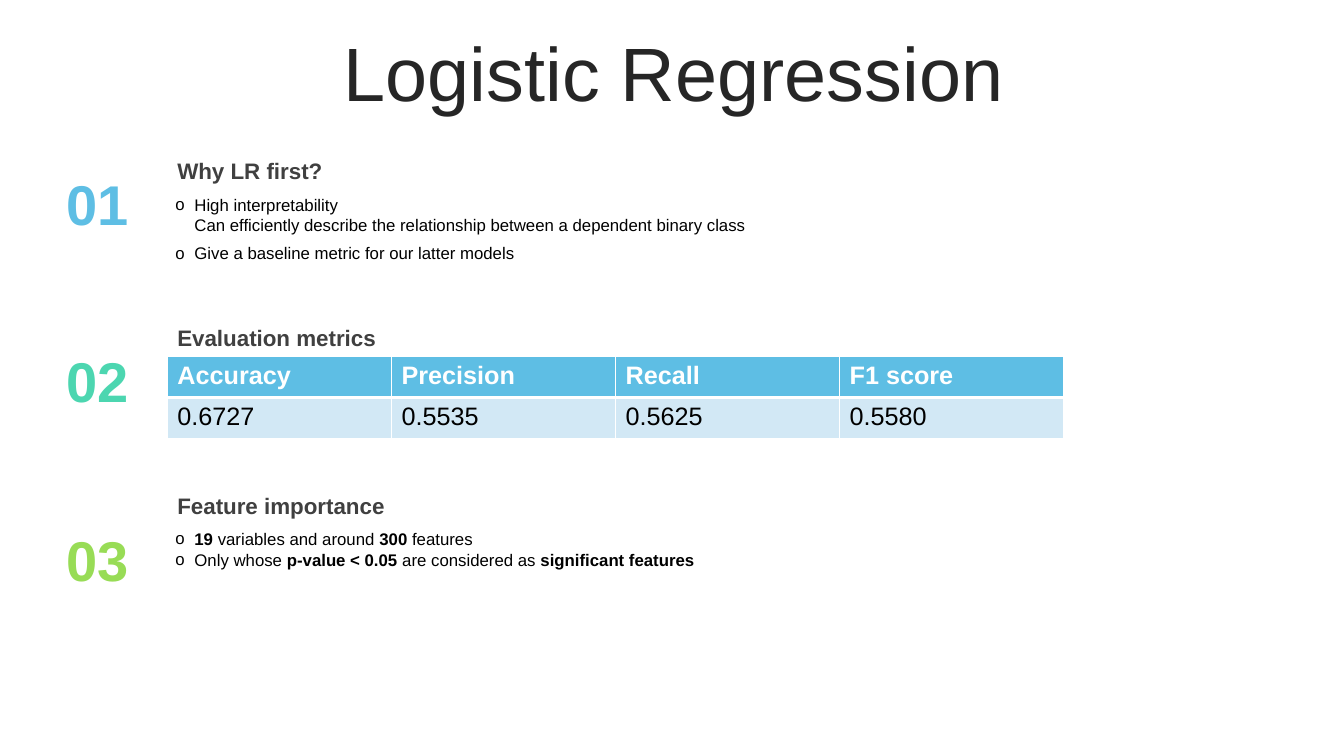
from lxml import etree
from pptx import Presentation
from pptx.dml.color import RGBColor
from pptx.enum.text import MSO_ANCHOR, MSO_AUTO_SIZE, PP_ALIGN
from pptx.oxml.ns import qn
from pptx.util import Inches, Pt

CENTER, LEFT = PP_ALIGN.CENTER, PP_ALIGN.LEFT
MIDDLE = MSO_ANCHOR.MIDDLE
NO_AUTOFIT = MSO_AUTO_SIZE.NONE

BLACK = RGBColor(0x00, 0x00, 0x00)
WHITE = RGBColor(0xFF, 0xFF, 0xFF)
TITLE_GREY = RGBColor(0x26, 0x26, 0x26)
HEADING_GREY = RGBColor(0x40, 0x40, 0x40)
BLUE = RGBColor(0x5E, 0xBE, 0xE4)
TEAL = RGBColor(0x4C, 0xD6, 0xB0)
GREEN = RGBColor(0x98, 0xDC, 0x56)
PALE_BLUE = RGBColor(0xD2, 0xE8, 0xF5)

BULLET_INDENT = Inches(0.19)

prs = Presentation()
prs.slide_width, prs.slide_height = Inches(13.33), Inches(7.5)
slide = prs.slides.add_slide(prs.slide_layouts[5])


def add_text(paragraph, text, size, color, bold=False):
    run = paragraph.add_run()
    run.text = text
    formats = {"name": "Arial", "size": Pt(size), "bold": bold}
    for attribute, value in formats.items():
        setattr(run.font, attribute, value)
    run.font.color.rgb = color


def add_box(left, top, width, height):
    box = slide.shapes.add_textbox(
        Inches(left), Inches(top), Inches(width), Inches(height))
    box.text_frame.word_wrap = True
    return box.text_frame


# Title
title = slide.shapes.title
title.left, title.top = Inches(0.35), Inches(0.37)
title.width, title.height = Inches(12.66), Inches(0.79)
title.text_frame.auto_size = NO_AUTOFIT
title.text_frame.vertical_anchor = MIDDLE
heading = title.text_frame.paragraphs[0]
heading.alignment = CENTER
heading.line_spacing = 0.9
add_text(heading, "Logistic Regression", 54, TITLE_GREY)

# Numbered section headings
sections = [
    ("01", BLUE, 1.63, "Why LR first?", 1.51),
    ("02", TEAL, 3.39, "Evaluation metrics", 3.17),
    ("03", GREEN, 5.16, "Feature importance", 4.83),
]
for number, color, number_top, name, name_top in sections:
    number_line = add_box(0.55, number_top, 0.83, 0.77).paragraphs[0]
    number_line.alignment = CENTER
    add_text(number_line, number, 40, color, bold=True)
    name_line = add_box(1.66, name_top, 5.81, 0.37).paragraphs[0]
    add_text(name_line, name, 16, HEADING_GREY, bold=True)

# Section notes: each line is (bulleted, space before, [(text, bold), ...])
notes = [
    (1.88, 0.79, [
        (True, 0, [("High interpretability", False)]),
        (False, 0, [("Can efficiently describe the relationship between "
                     "a dependent binary class", False)]),
        (True, 6, [("Give a baseline metric for our latter models", False)]),
    ]),
    (5.2, 0.5, [
        (True, 0, [("19", True), (" variables and around ", False),
                   ("300", True), (" features", False)]),
        (True, 0, [("Only whose ", False), ("p-value < 0.05 ", True),
                   ("are considered as ", False),
                   ("significant features", True)]),
    ]),
]
for top, height, lines in notes:
    frame = add_box(1.64, top, 5.86, height)
    for index, (bulleted, space_before, pieces) in enumerate(lines):
        line = frame.add_paragraph() if index else frame.paragraphs[0]
        line.alignment = LEFT
        if space_before:
            line.space_before = Pt(space_before)
        properties = line._p.get_or_add_pPr()
        properties.set("marL", str(BULLET_INDENT))
        if bulleted:
            properties.set("indent", str(-BULLET_INDENT))
            etree.SubElement(properties, qn("a:buFont"), typeface="Arial")
            etree.SubElement(properties, qn("a:buChar"), char="o")
        for text, bold in pieces:
            add_text(line, text, 12, BLACK, bold)

# Metrics table
metrics = [
    ("Accuracy", "Precision", "Recall", "F1 score"),
    ("0.6727", "0.5535", "0.5625", "0.5580"),
]
row_formats = [(BLUE, WHITE, True), (PALE_BLUE, BLACK, False)]
metrics_table = slide.shapes.add_table(
    2, 4, Inches(1.66), Inches(3.54), Inches(8.89), Inches(0.81)).table
for row, (values, (fill, color, bold)) in enumerate(zip(metrics, row_formats)):
    for column, value in enumerate(values):
        cell = metrics_table.cell(row, column)
        add_text(cell.text_frame.paragraphs[0], value, 18, color, bold)
        # The rule between header and values is thicker
        borders = {"L": 1, "R": 1, "T": 3 if row else 1, "B": 1 if row else 3}
        cell_properties = cell._tc.get_or_add_tcPr()
        for side, width in borders.items():
            border = etree.SubElement(
                cell_properties, qn("a:ln" + side), w=str(Pt(width)))
            border_fill = etree.SubElement(border, qn("a:solidFill"))
            etree.SubElement(border_fill, qn("a:srgbClr"), val=str(WHITE))
        cell.fill.solid()
        cell.fill.fore_color.rgb = fill

prs.save("out.pptx")
